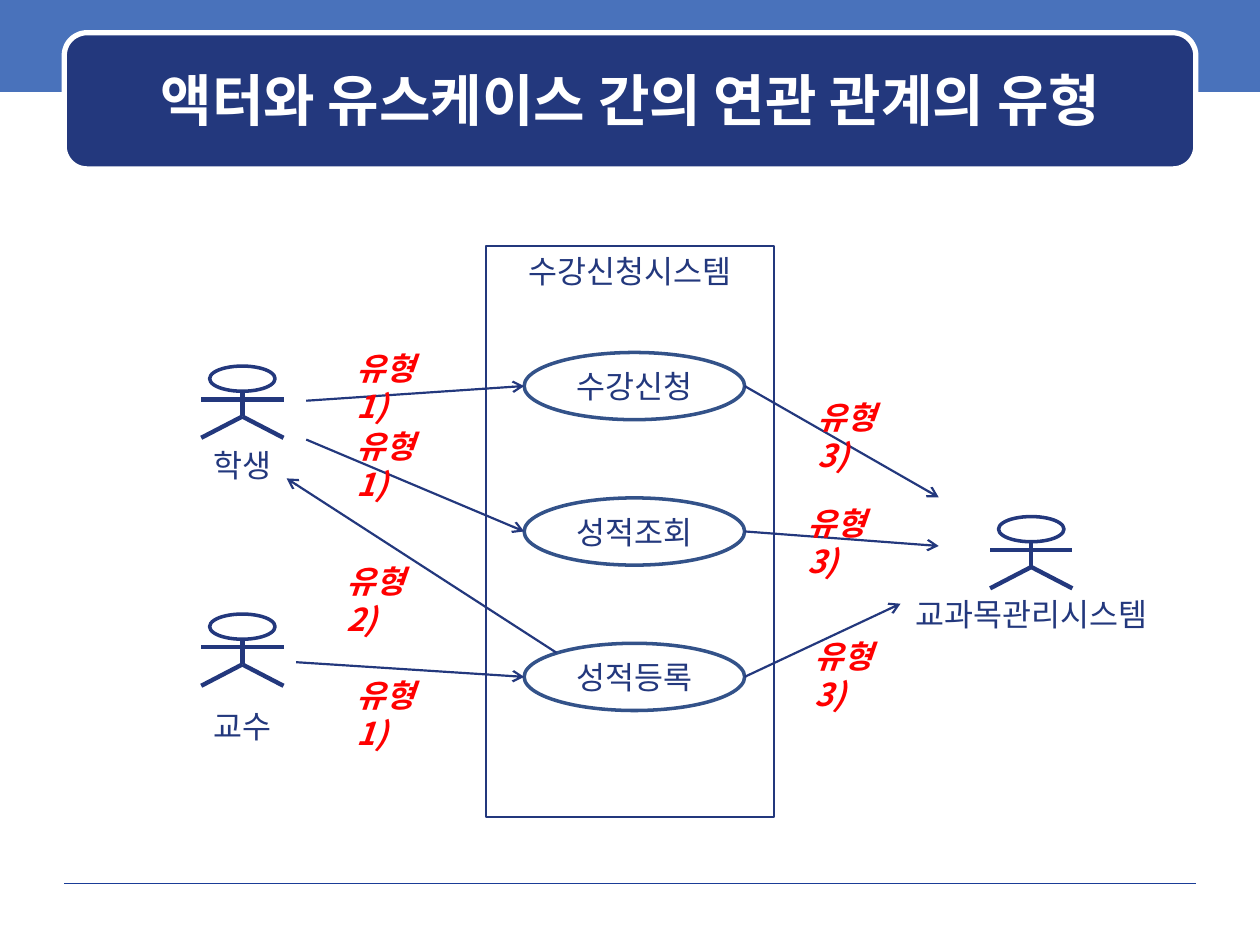
from lxml import etree
from pptx import Presentation
from pptx.dml.color import RGBColor
from pptx.enum import shapes as kinds, text as txt
from pptx.oxml.ns import qn
from pptx.util import Pt

NAVY, BLUE, OVAL_EDGE = "23387D", "4972BB", "335289"
WHITE, RED, RULE = "FFFFFF", "FF0000", "1A3D97"
KOREAN = "Noto Sans CJK KR"
SHAPE = kinds.MSO_SHAPE
TOP, MIDDLE = txt.MSO_ANCHOR.TOP, txt.MSO_ANCHOR.MIDDLE
LEFT, CENTER = txt.PP_ALIGN.LEFT, txt.PP_ALIGN.CENTER


def color(hex_value):
    return RGBColor.from_string(hex_value)


def write(holder, words, size=18, font=KOREAN, ink=NAVY, bold=False, italic=False,
          align=CENTER, anchor=TOP, insets=(7.2, 3.6, 7.2, 3.6)):
    frame = holder.text_frame
    frame.word_wrap = True
    frame.vertical_anchor = anchor
    (frame.margin_left, frame.margin_top,
     frame.margin_right, frame.margin_bottom) = map(Pt, insets)
    paragraph = frame.paragraphs[0]
    paragraph.alignment = align
    run = paragraph.add_run()
    run.text = words
    run.font.size, run.font.name = Pt(size), font
    run.font.bold, run.font.italic = bold, italic
    run.font.color.rgb = color(ink)
    etree.SubElement(run.font._element, qn("a:ea"), typeface=KOREAN)


def add_text(slide, box, words, **style):
    write(slide.shapes.add_textbox(*map(Pt, box)), words, **style)


def add_box(slide, kind, box, fill=None, edge=None, weight=1):
    shape = slide.shapes.add_shape(kind, *map(Pt, box))
    shape.shadow.inherit = False
    if fill:
        shape.fill.solid()
        shape.fill.fore_color.rgb = color(fill)
    else:
        shape.fill.background()
    if edge:
        shape.line.color.rgb = color(edge)
        shape.line.width = Pt(weight)
    else:
        shape.line.fill.background()
    return shape


def add_line(slide, start, end, weight=1.25, ink=NAVY, arrow=False):
    line = slide.shapes.add_connector(kinds.MSO_CONNECTOR.STRAIGHT,
                                      *map(Pt, (*start, *end)))
    line.line.color.rgb = color(ink)
    line.line.width = Pt(weight)
    if arrow:
        etree.SubElement(line.line._get_or_add_ln(), qn("a:tailEnd"), type="arrow")
    etree.SubElement(line._element.spPr, qn("a:effectLst"))


def draw_header(slide, box):
    left, top, width, height = box
    add_box(slide, SHAPE.RECTANGLE, (0, -2.2, 720, 54.7), fill=BLUE)
    add_line(slide, (left, 504.7), (left + width, 504.7), weight=0.25, ink=RULE)
    add_box(slide, SHAPE.ROUNDED_RECTANGLE, box, fill=NAVY, edge=WHITE, weight=3)
    add_text(slide, (left + 6.5, top + 6.5, width - 12, height - 14.4),
             "액터와 유스케이스 간의 연관 관계의 유형",
             size=32, font="DejaVu Sans", ink=WHITE, bold=True, anchor=MIDDLE)


def draw_actor(slide, box, name, name_top, name_width):
    """Stick figure filling the box, with its name centred below."""
    left, top, width, height = box
    middle, right, foot = left + width / 2, left + width, top + height
    neck, arms, hip = top + 14.4, top + 19, top + 28.8
    add_box(slide, SHAPE.OVAL, (middle - 18.7, top, 37.4, 14.4), edge=NAVY, weight=2)
    for start, end in (((middle, neck), (middle, hip)),
                       ((left, arms), (right, arms)),
                       ((middle, hip), (left, foot)),
                       ((middle, hip), (right, foot))):
        add_line(slide, start, end, weight=2.5)
    add_text(slide, (middle - name_width / 2, name_top, name_width, 29), name)


def draw_system(slide, box, name, use_cases):
    """Boundary with its use cases; returns the left and right end of each oval."""
    left, top, width, height = box
    boundary = add_box(slide, SHAPE.RECTANGLE, box, edge=NAVY, weight=1.25)
    write(boundary, name)
    oval_left, oval_width, oval_height, pitch = left + 21.6, 126, 38.4, 83.1
    ends = []
    for row, use_case in enumerate(use_cases):
        oval_top = top + 61 + row * pitch
        oval = add_box(slide, SHAPE.OVAL, (oval_left, oval_top, oval_width, oval_height),
                       edge=OVAL_EDGE, weight=2)
        write(oval, use_case, anchor=MIDDLE, insets=(0, 3.6, 0, 3.6))
        y = oval_top + oval_height / 2
        ends.append(((oval_left, y), (oval_left + oval_width, y)))
    return ends


def draw_associations(slide, use_case_ends):
    (apply_in, apply_out), (view_in, view_out), (post_in, post_out) = use_case_ends
    for start, end in (((175, 229), apply_in),
                       ((175, 251.2), view_in),
                       ((169.2, 378.4), post_in),
                       (apply_out, (536.4, 284.2)),
                       (view_out, (536.4, 312)),
                       (post_out, (514.6, 345)),
                       ((318, 373), (163.8, 273.4))):
        add_line(slide, start, end, arrow=True)
    for number, left, top in ((1, 196.6, 195.8), (1, 196.6, 240.5), (1, 196.6, 383),
                              (2, 190.8, 317.5), (3, 460.1, 223.9), (3, 454.3, 284.4),
                              (3, 458.6, 360.7)):
        add_text(slide, (left, top, 72.7, 29), f"유형 {number})", ink=RED, bold=True,
                 italic=True, align=LEFT, insets=(7.2, 3.6, 20, 3.6))


def main():
    deck = Presentation()
    deck.slide_width, deck.slide_height = Pt(720), Pt(540)
    slide = deck.slides.add_slide(deck.slide_layouts[6])
    draw_header(slide, (36.7, 18.7, 646.6, 77.8))
    for name, left, top, name_top, name_width in (
            ("학생", 115, 209.2, 251.3, 131),
            ("교수", 115, 350.9, 400.3, 131),
            ("교과목관리시스템", 565.8, 295.2, 336.2, 171.4)):
        draw_actor(slide, (left, top, 47, 41), name, name_top, name_width)
    ends = draw_system(slide, (277.9, 140.4, 164.6, 326.4), "수강신청시스템",
                       ("수강신청", "성적조회", "성적등록"))
    draw_associations(slide, ends)
    deck.save("out.pptx")


if __name__ == "__main__":
    main()
